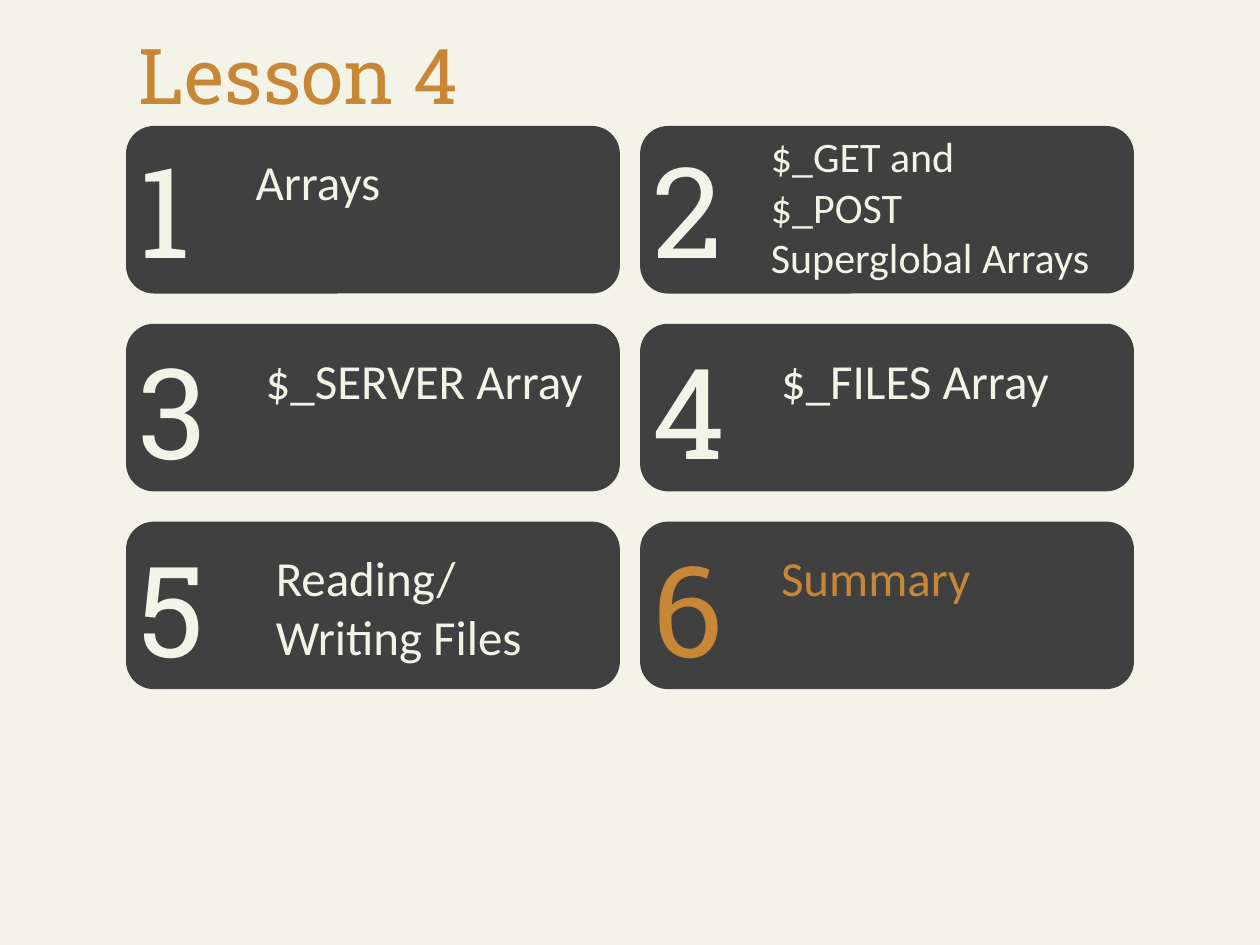
from dataclasses import dataclass

from pptx import Presentation
from pptx.dml.color import RGBColor
from pptx.enum.shapes import MSO_SHAPE
from pptx.enum.text import MSO_ANCHOR, MSO_AUTO_SIZE, PP_ALIGN
from pptx.util import Inches, Pt

ROUNDED_RECTANGLE = MSO_SHAPE.ROUNDED_RECTANGLE
TOP = MSO_ANCHOR.TOP
LEFT = PP_ALIGN.LEFT
NO_FIT = MSO_AUTO_SIZE.NONE
GROW = MSO_AUTO_SIZE.SHAPE_TO_FIT_TEXT


@dataclass(frozen=True)
class Theme:
    paper: RGBColor = RGBColor.from_string("F3F3E7")
    card: RGBColor = RGBColor.from_string("404040")
    accent: RGBColor = RGBColor.from_string("C88736")
    heading_font: str = "Roboto Slab"
    body_font: str = "Calibri"
    title_size: int = 44
    number_size: int = 72
    label_size: int = 28
    small_label_size: int = 24


theme = Theme()


def write_text(shape, text, *, size, font, color, fit=GROW):
    frame = shape.text_frame
    frame.word_wrap = True
    frame.auto_size = fit
    frame.vertical_anchor = TOP
    paragraph = frame.paragraphs[0]
    paragraph.alignment = LEFT
    run = paragraph.add_run()
    run.text = text
    run.font.size = Pt(size)
    run.font.name = font
    run.font.color.rgb = color


presentation = Presentation()
presentation.slide_width = Inches(10)
presentation.slide_height = Inches(7.5)
slide = presentation.slides.add_slide(presentation.slide_layouts[5])
slide.background.fill.solid()
slide.background.fill.fore_color.rgb = theme.paper

title = slide.shapes.title
title.left, title.top = Inches(1), Inches(0.17)
title.width, title.height = Inches(8.67), Inches(1.17)
write_text(title, "Lesson 4", size=theme.title_size, font=theme.heading_font,
           color=theme.accent, fit=NO_FIT)

card_left, card_top = 1, 1
column_step, row_step = 4.08, 1.57
number_drops = [0, 0.03, 0.03]

topics = [
    ("Arrays", 0.93, 0.15, 0.57, theme.label_size, theme.paper),
    ("$_GET and $_POST Superglobal Arrays", 0.94, -0.01, 1.31,
     theme.small_label_size, theme.paper),
    ("$_SERVER Array", 1.01, 0.16, 0.57, theme.label_size, theme.paper),
    ("$_FILES Array", 1.02, 0.16, 0.57, theme.label_size, theme.paper),
    ("Reading/ Writing Files", 1.09, 0.16, 1.04, theme.label_size, theme.paper),
    ("Summary", 1.02, 0.16, 0.57, theme.label_size, theme.accent),
]

for index, (label, indent, drop, height, size, color) in enumerate(topics):
    row, column = divmod(index, 2)
    left = card_left + column * column_step
    top = card_top + row * row_step

    card = slide.shapes.add_shape(ROUNDED_RECTANGLE, Inches(left), Inches(top),
                                  Inches(3.92), Inches(1.33))
    card.shadow.inherit = False
    card.fill.solid()
    card.fill.fore_color.rgb = theme.card
    card.line.fill.background()

    number_box = slide.shapes.add_textbox(
        Inches(left), Inches(top + number_drops[row]), Inches(0.75), Inches(1.31))
    write_text(number_box, str(index + 1), size=theme.number_size,
               font=theme.heading_font, color=color)

    label_box = slide.shapes.add_textbox(
        Inches(left + indent), Inches(top + drop), Inches(2.75), Inches(height))
    write_text(label_box, label, size=size, font=theme.body_font, color=color)

presentation.save("out.pptx")
